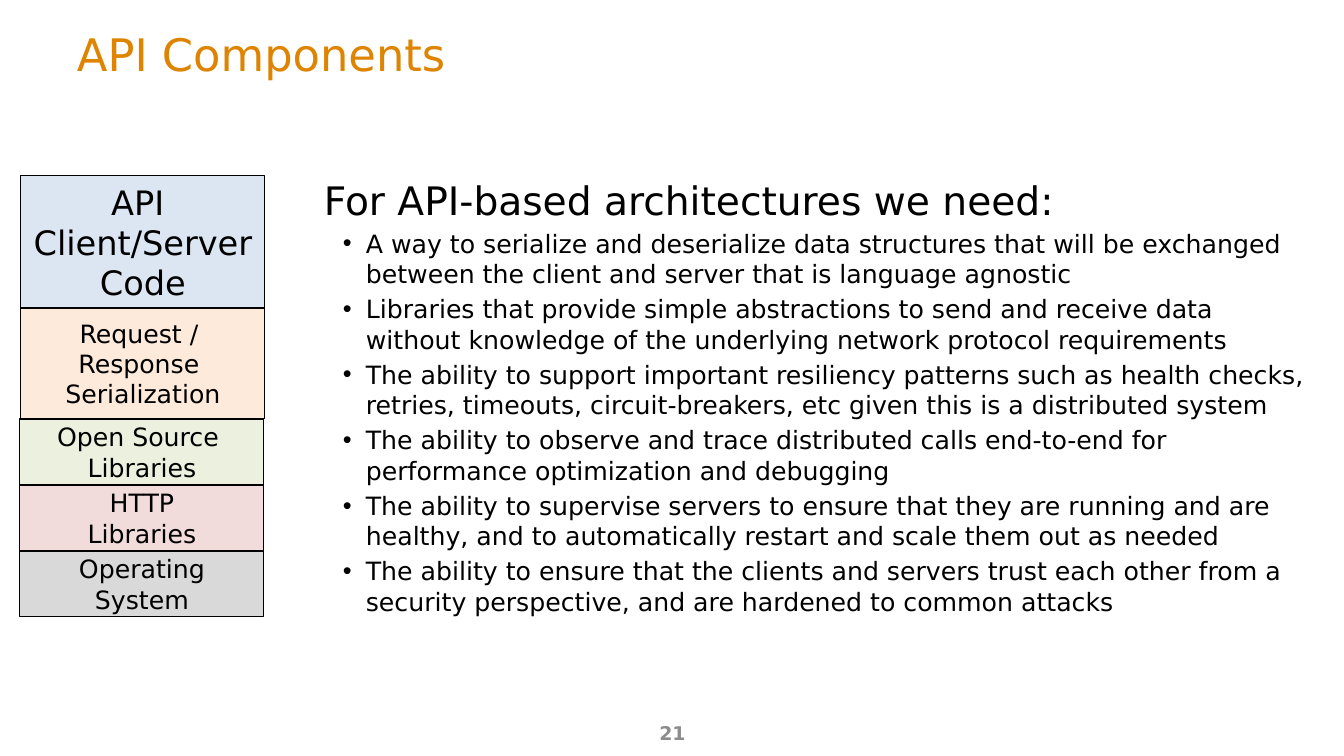
from lxml.etree import SubElement
from pptx import Presentation
from pptx.dml.color import RGBColor
from pptx.enum.shapes import MSO_SHAPE
from pptx.enum.text import MSO_ANCHOR, PP_ALIGN
from pptx.oxml.ns import qn
from pptx.util import Pt

PX = 914400 / 100.8
FONT = "DejaVu Sans"
COLORS = {
    "title": "DE8400",
    "text": "000000",
    "number": "8C8C8C",
    "code": "DCE6F2",
    "serialization": "FDEADA",
    "open_source": "EBF1DE",
    "http": "F2DCDB",
    "system": "D9D9D9",
}
# Left offset, height, size, color, label
LAYERS = [
    (1, 132, 24, "code", "API \vClient/Server\vCode"),
    (1, 111, 18, "serialization", "Request / \vResponse \vSerialization"),
    (0, 66, 18, "open_source", "Open Source \vLibraries"),
    (0, 66, 18, "http", "HTTP\vLibraries"),
    (0, 66, 18, "system", "Operating\vSystem"),
]
HEADING = "For API-based architectures we need:"
NEEDS = [
    "A way to serialize and deserialize data structures that will be exchanged "
    "between the client and server that is language agnostic",
    "Libraries that provide simple abstractions to send and receive data "
    "without knowledge of the underlying network protocol requirements",
    "The ability to support important resiliency patterns such as health checks, "
    "retries, timeouts, circuit-breakers, etc given this is a distributed system",
    "The ability to observe and trace distributed calls end-to-end for "
    "performance optimization and debugging",
    "The ability to supervise servers to ensure that they are running and are "
    "healthy, and to automatically restart and scale them out as needed",
    "The ability to ensure that the clients and servers trust each other from a "
    "security perspective, and are hardened to common attacks",
]


def px(length):
    return round(length * PX)


def color(name):
    return RGBColor.from_string(COLORS[name])


def style(paragraph, size, color_name="text", bold=False):
    for run in paragraph.runs:
        run.font.name = FONT
        run.font.size = Pt(size)
        run.font.bold = bold
        run.font.color.rgb = color(color_name)


def add_text_frame(slide, box, anchor=MSO_ANCHOR.MIDDLE):
    frame = slide.shapes.add_textbox(*map(px, box)).text_frame
    frame.word_wrap = True
    frame.vertical_anchor = anchor
    return frame


def add_title(slide, box):
    frame = add_text_frame(slide, box)
    frame.text = "API Components"
    style(frame.paragraphs[0], 32, "title")


def add_page_number(slide, box):
    frame = add_text_frame(slide, box)
    frame.text = "21"
    frame.paragraphs[0].alignment = PP_ALIGN.CENTER
    style(frame.paragraphs[0], 13.5, "number", bold=True)


def add_layer_stack(slide, left, top, width):
    for offset, height, size, fill, label in LAYERS:
        shape = slide.shapes.add_shape(
            MSO_SHAPE.RECTANGLE, px(left + offset), px(top), px(width), px(height))
        shape.shadow.inherit = False
        shape.fill.solid()
        shape.fill.fore_color.rgb = color(fill)
        shape.line.color.rgb = color("text")
        shape.line.width = Pt(0.75)
        frame = shape.text_frame
        frame.word_wrap = False
        frame.vertical_anchor = MSO_ANCHOR.MIDDLE
        frame.text = label
        frame.paragraphs[0].alignment = PP_ALIGN.CENTER
        style(frame.paragraphs[0], size)
        top += height


def add_bullet(paragraph):
    properties = paragraph._p.get_or_add_pPr()
    properties.set("marL", str(px(42)))
    properties.set("indent", str(px(-23)))
    SubElement(properties, qn("a:buFont"), typeface="Arial")
    SubElement(properties, qn("a:buChar"), char="•")


def add_needs(slide, box):
    frame = add_text_frame(slide, box, MSO_ANCHOR.TOP)
    frame.text = HEADING
    style(frame.paragraphs[0], 28)
    for need in NEEDS:
        paragraph = frame.add_paragraph()
        paragraph.text = need
        add_bullet(paragraph)
        paragraph.space_before = Pt(3.6)
        style(paragraph, 18)


def main():
    presentation = Presentation()
    presentation.slide_width = px(1344)
    presentation.slide_height = px(756)
    slide = presentation.slides.add_slide(presentation.slide_layouts[6])
    add_page_number(slide, (460, 713, 425, 40))
    add_title(slide, (67, 15, 1210, 77))
    add_layer_stack(slide, 20, 176, 244)
    add_needs(slide, (314, 171, 1007, 318))
    presentation.save("out.pptx")


if __name__ == "__main__":
    main()
